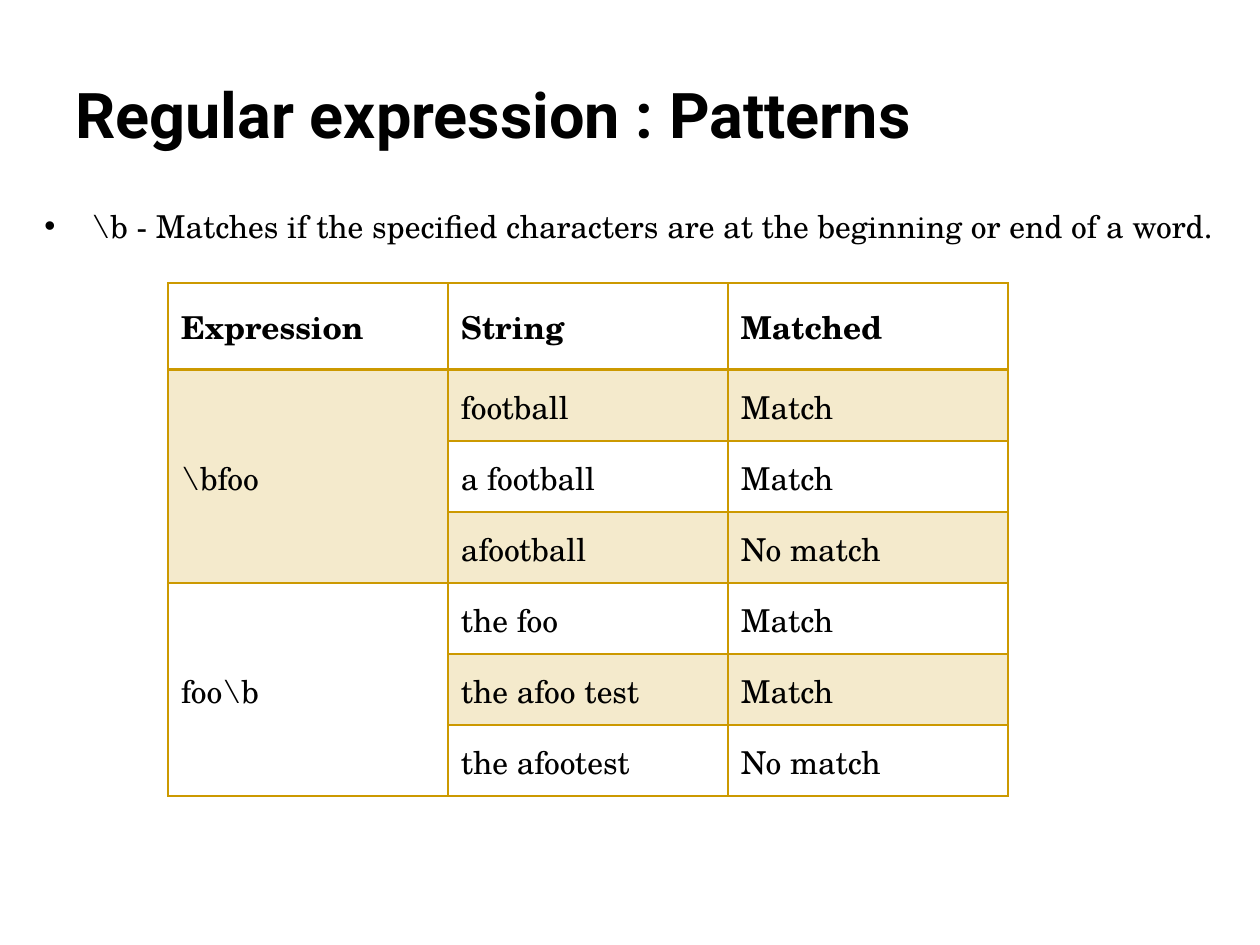
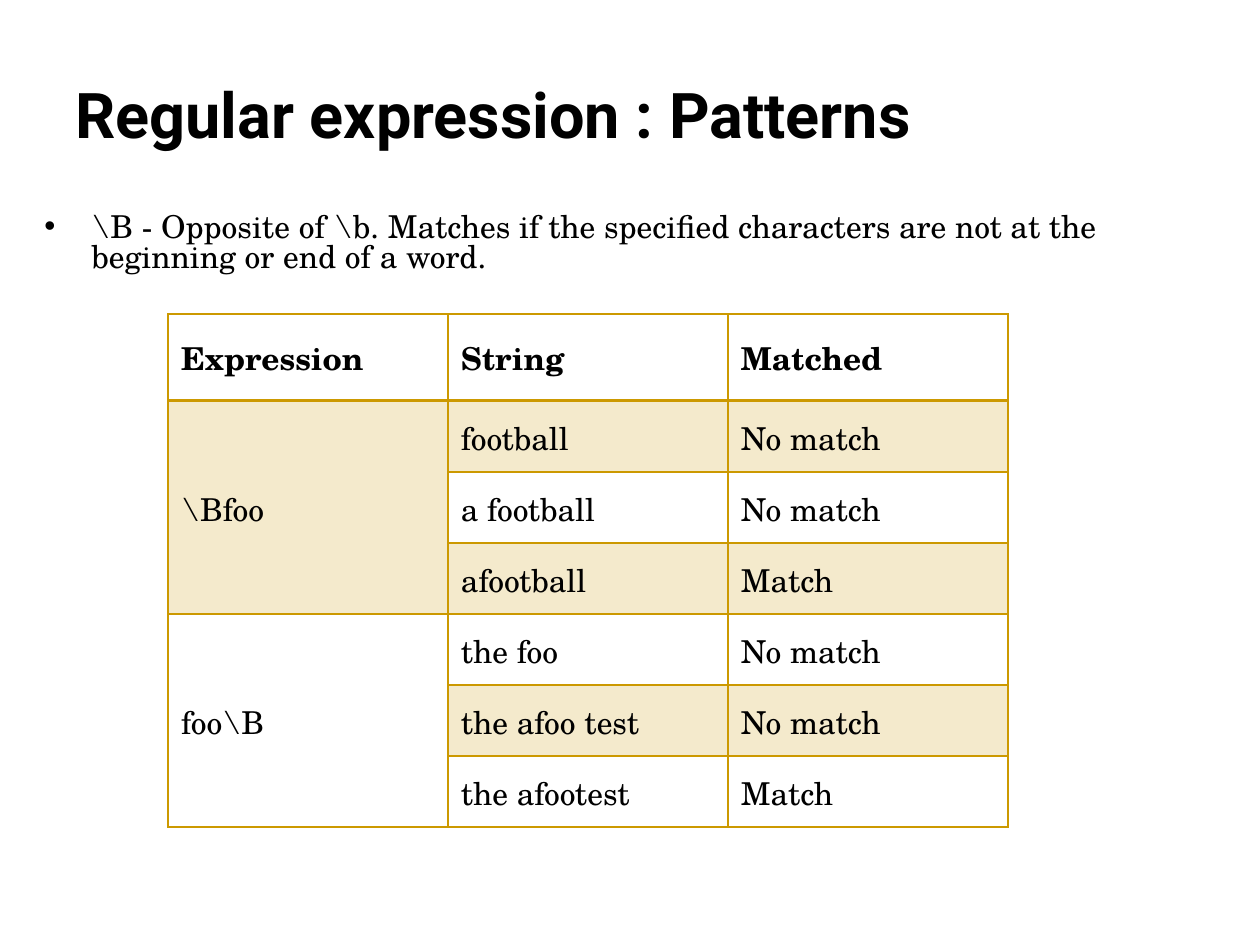
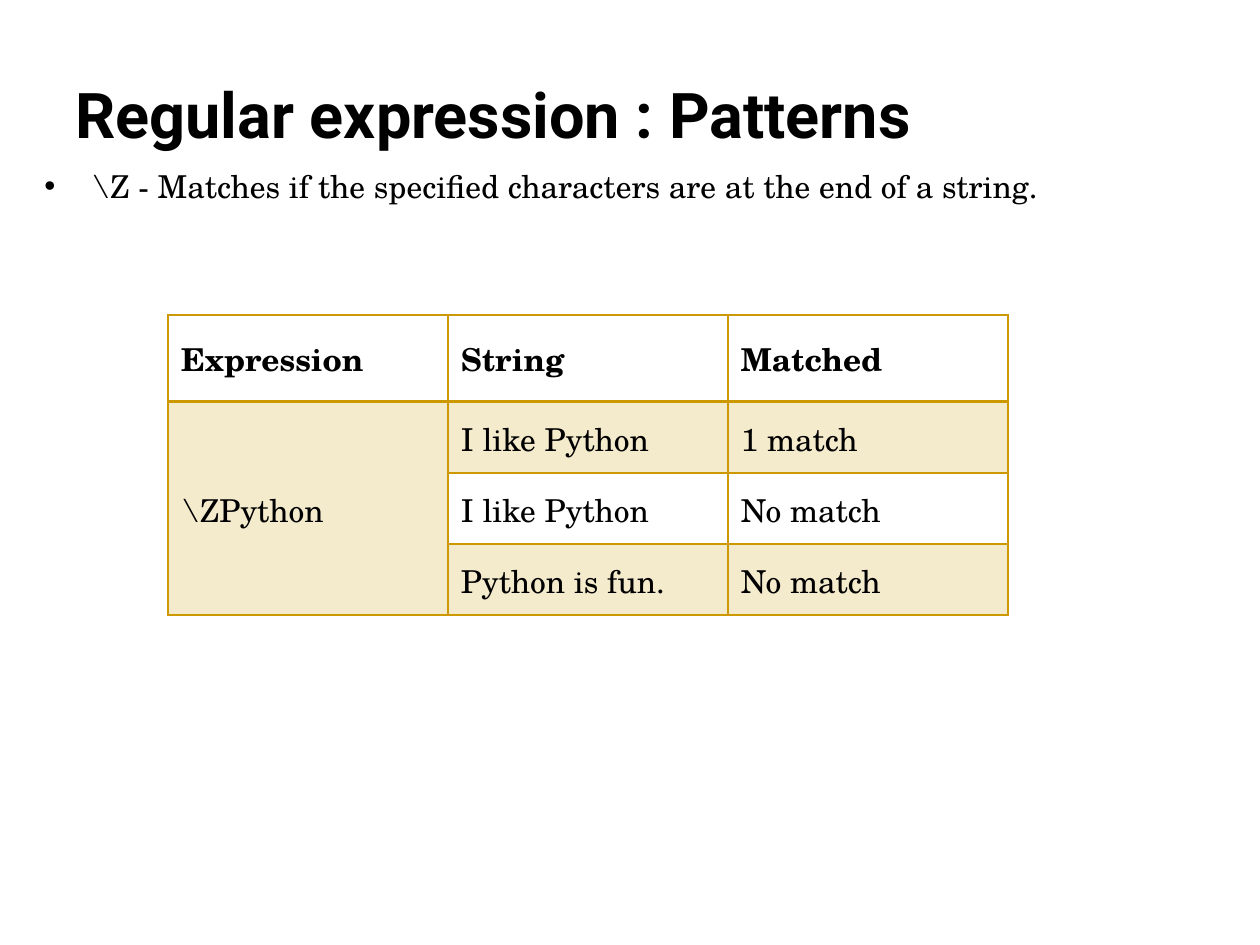
from dataclasses import dataclass

from lxml.etree import SubElement
from pptx import Presentation
from pptx.dml.color import RGBColor
from pptx.enum.text import MSO_ANCHOR
from pptx.oxml.ns import qn
from pptx.util import Pt

PX = 914400 // 126  # EMU per px


@dataclass(frozen=True)
class Theme:
    text: str = "000000"
    gold: str = "CC9900"
    band_alpha: int = 20
    title_font: str = "Roboto"
    body_font: str = "TeX Gyre Schola"
    title_size: int = 36
    body_size: int = 18


def px(n):
    return n * PX


class Deck:
    def __init__(self, theme):
        self.theme = theme
        self.prs = Presentation()
        self.prs.slide_width, self.prs.slide_height = px(1260), px(945)
        self.s = None

    def add_slide(self):
        self.s = self.prs.slides.add_slide(self.prs.slide_layouts[6])

    def style(self, p, font, size, bold=False):
        for r in p.runs:
            r.font.name, r.font.size, r.font.bold = font, Pt(size), bold
            r.font.color.rgb = RGBColor.from_string(self.theme.text)

    def text_box(self, x, y, w, h, text):
        tf = self.s.shapes.add_textbox(px(x), px(y), px(w), px(h)).text_frame
        tf.word_wrap = True
        tf.text = text
        return tf

    def title(self, text):
        tf = self.text_box(63, 10, 935, 147, text)
        tf.vertical_anchor = MSO_ANCHOR.BOTTOM
        self.style(tf.paragraphs[0], self.theme.title_font, self.theme.title_size, True)

    def bullet(self, text, inset):
        tf = self.text_box(32, 168, 1228, 777, text)
        tf.margin_top = px(inset)
        p = tf.paragraphs[0]
        p.line_spacing, p.space_before = 0.8, Pt(3.6)
        self.style(p, self.theme.body_font, self.theme.body_size)
        pPr = p._p.get_or_add_pPr()
        pPr.set("marL", str(px(47)))
        pPr.set("indent", str(px(-47)))
        color = SubElement(pPr, qn("a:buClr"))
        SubElement(color, qn("a:srgbClr"), val=self.theme.text)
        SubElement(pPr, qn("a:buFont"), typeface="Arial")
        SubElement(pPr, qn("a:buChar"), char="•")

    def cell(self, cell, text, header, banded):
        # Text
        cell.text = text
        cell.vertical_anchor = MSO_ANCHOR.MIDDLE
        cell.margin_left, cell.margin_right = px(13), px(10)
        cell.margin_top, cell.margin_bottom = (px(20), px(19)) if header else (px(13), px(11))
        self.style(cell.text_frame.paragraphs[0], self.theme.body_font,
                   self.theme.body_size, header)
        # Borders come before the fill in the cell properties
        tcPr = cell._tc.get_or_add_tcPr()
        for side in "LRTB":
            width = Pt(2 if header and side == "B" else 1)
            ln = SubElement(tcPr, qn(f"a:ln{side}"), w=str(width))
            SubElement(SubElement(ln, qn("a:solidFill")), qn("a:srgbClr"), val=self.theme.gold)
        # Fill
        if banded:
            cell.fill.solid()
            cell.fill.fore_color.rgb = RGBColor.from_string(self.theme.gold)
            color = tcPr.find(qn("a:solidFill")).find(qn("a:srgbClr"))
            SubElement(color, qn("a:alpha"), val=str(self.theme.band_alpha * 1000))
        else:
            cell.fill.background()

    def match_table(self, y, groups):
        rows = [HEADERS]
        for expression, cases in groups.items():
            rows += [(expression if i == 0 else "", *case) for i, case in enumerate(cases)]
        heights = [87] + [71] * (len(rows) - 1)
        table = self.s.shapes.add_table(len(rows), len(HEADERS), px(168), px(y),
                                        px(840), px(sum(heights))).table
        table.first_row = table.horz_banding = False
        for col in table.columns:
            col.width = px(280)
        for i, (row, height) in enumerate(zip(rows, heights)):
            table.rows[i].height = px(height)
            for j, text in enumerate(row):
                self.cell(table.cell(i, j), text, header=i == 0, banded=i % 2 == 1)
        # Each expression spans its cases
        first = 1
        for cases in groups.values():
            last = first + len(cases) - 1
            table.cell(first, 0).merge(table.cell(last, 0))
            first = last + 1


TITLE = "Regular expression : Patterns"
HEADERS = ("Expression", "String", "Matched")
FOO_START = ("football", "a football", "afootball")
FOO_END = ("the foo", "the afoo test", "the afootest")
YES, NO = "Match", "No match"

# Bullet text, bullet inset, table top, cases by expression
PATTERNS = [
    (r"\b - Matches if the specified characters are at the beginning or end of a word.",
     46, 283,
     {r"\bfoo": list(zip(FOO_START, (YES, YES, NO))),
      r"foo\b": list(zip(FOO_END, (YES, YES, NO)))}),
    (r"\B - Opposite of \b. Matches if the specified characters are not at the "
     "beginning or end of a word.",
     46, 314,
     {r"\Bfoo": list(zip(FOO_START, (NO, NO, YES))),
      r"foo\B": list(zip(FOO_END, (NO, NO, YES)))}),
    (r"\Z - Matches if the specified characters are at the end of a string.",
     6, 315,
     {r"\ZPython": [("I like Python", "1 match"), ("I like Python", NO),
                    ("Python is fun.", NO)]}),
]


def main():
    deck = Deck(Theme())
    for text, inset, table_top, groups in PATTERNS:
        deck.add_slide()
        deck.title(TITLE)
        deck.bullet(text, inset)
        deck.match_table(table_top, groups)
    deck.prs.save("out.pptx")


if __name__ == "__main__":
    main()
